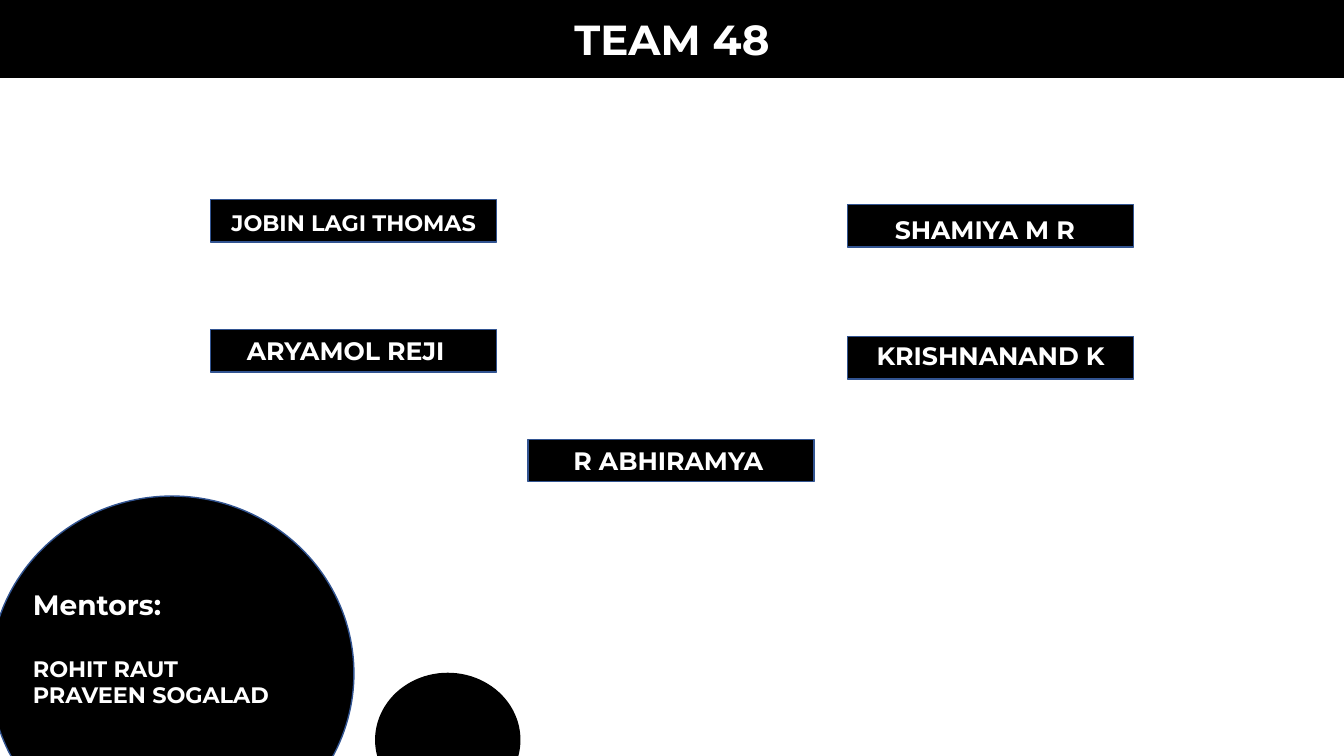
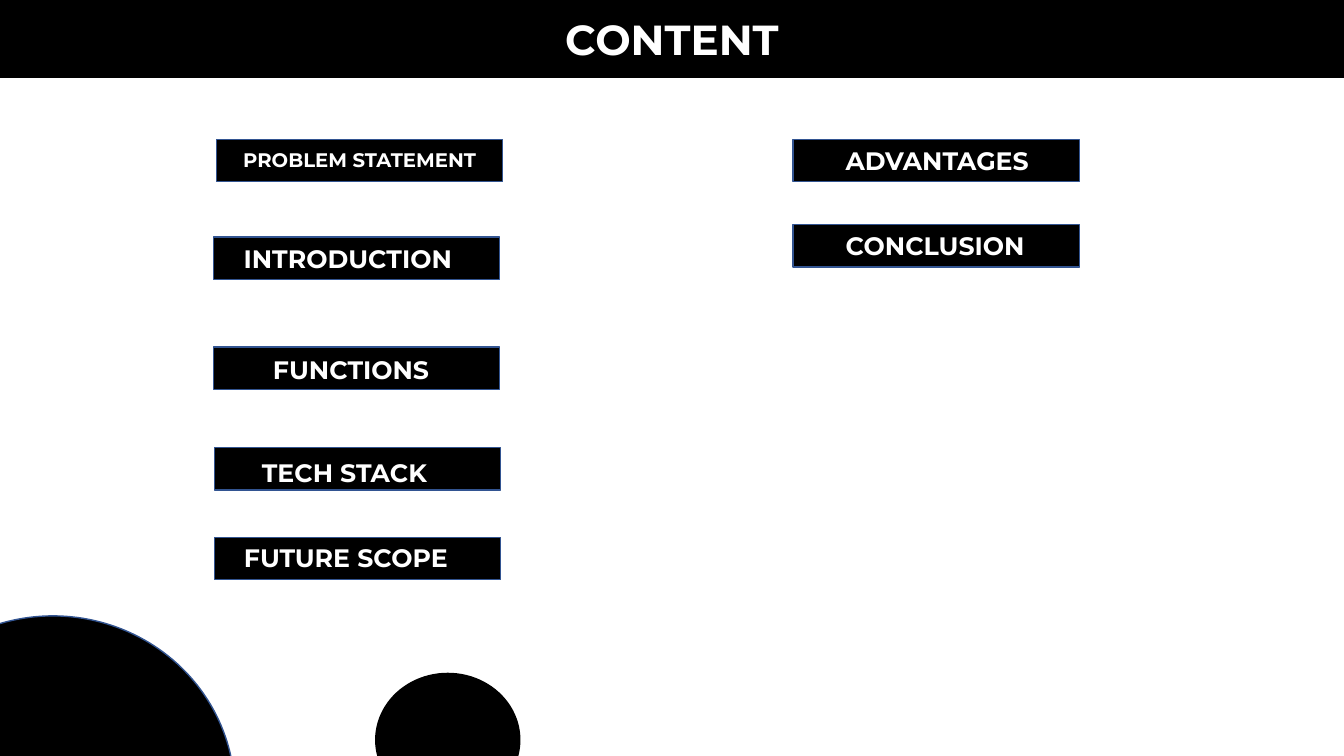
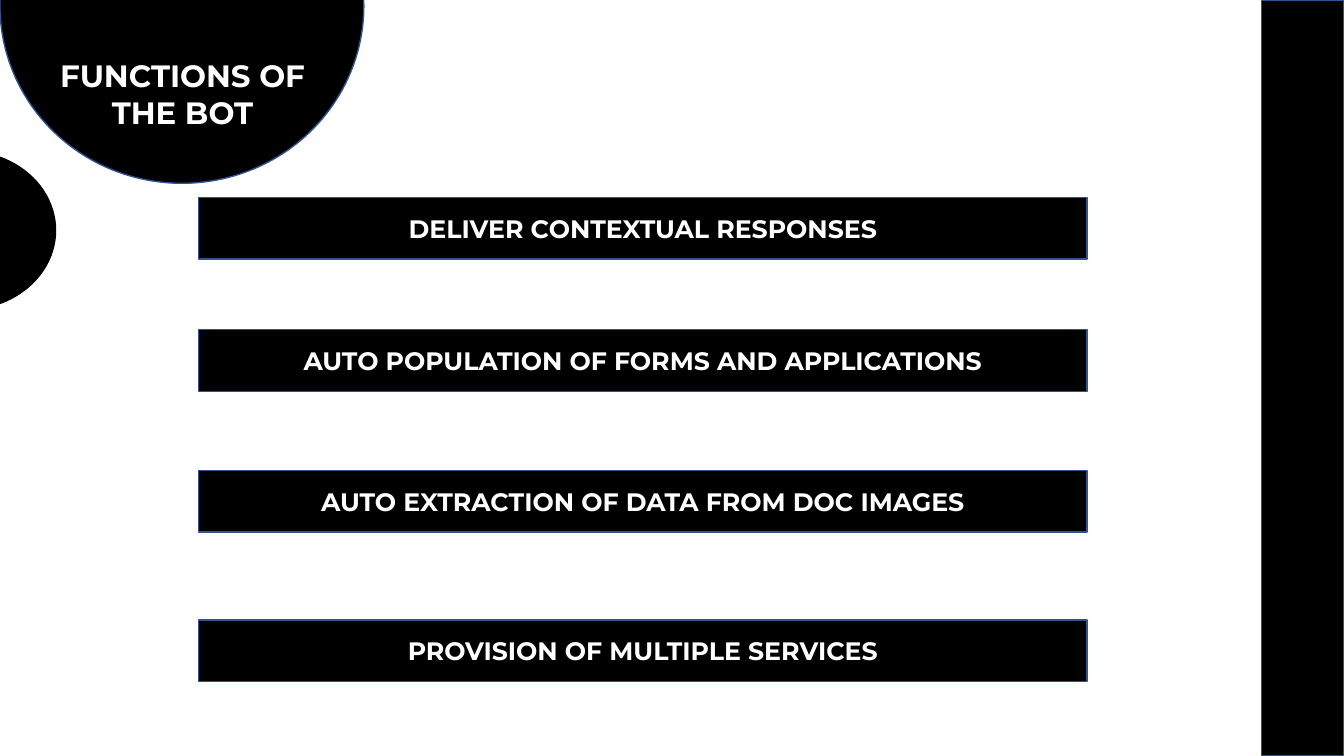
from pptx import Presentation
from pptx.dml.color import RGBColor
from pptx.enum.shapes import MSO_SHAPE
from pptx.enum.text import MSO_ANCHOR, PP_ALIGN
from pptx.util import Cm, Pt

BLACK = RGBColor(0x00, 0x00, 0x00)
WHITE = RGBColor(0xFF, 0xFF, 0xFF)
BLUE = RGBColor(0x32, 0x54, 0x91)
FONT = "Montserrat"

SLIDE_W, SLIDE_H = 33.87, 19.05
BAND_H = 1.96
SIDE_BAND_W = 2.08
LABEL_W, LABEL_H = 7.21, 1.07
BIG_CIRCLE = (9.17, 8.94)
SMALL_CIRCLE = (9.47, 16.97, 3.63, 3.35)
FUNCTION_X, FUNCTION_W, FUNCTION_H = 5, 22.4, 1.55

# label: text, left, top, size, left inset (None = centred), top inset
LABEL_SLIDES = [
    {
        "title": "TEAM 48",
        "circle": (-0.25, 12.5),
        "labels": [
            ("JOBIN LAGI THOMAS", 5.31, 5.03, 16, None, 0.23),
            ("SHAMIYA M R", 21.36, 5.16, 18, 1.19, 0.25),
            ("ARYAMOL REJI", 5.31, 8.31, 18, 0.91, 0.15),
            ("KRISHNANAND K", 21.36, 8.48, 18, None, 0.1),
            ("R ABHIRAMYA", 13.31, 11.07, 18, 1.14, 0.15),
        ],
        "mentors": ["Mentors:", "ROHIT RAUT", "PRAVEEN SOGALAD"],
    },
    {
        "title": "CONTENT",
        "circle": (-3.25, 15.52),
        "labels": [
            ("PROBLEM STATEMENT", 5.46, 3.51, 14, None, 0.23),
            ("INTRODUCTION", 5.38, 5.97, 18, 0.76, 0.15),
            ("FUNCTIONS", 5.38, 8.74, 18, 1.5, 0.18),
            ("TECH STACK", 5.41, 11.28, 18, 1.19, 0.25),
            ("FUTURE SCOPE", 5.41, 13.54, 18, 0.74, 0.13),
            ("ADVANTAGES", 19.99, 3.51, 18, 1.32, 0.15),
            ("CONCLUSION", 19.99, 5.66, 18, 1.32, 0.15),
        ],
        "mentors": [],
    },
]
FUNCTIONS_TITLE = ["FUNCTIONS OF", "THE BOT"]
FUNCTIONS = [
    ("DELIVER CONTEXTUAL RESPONSES", 4.98),
    ("AUTO POPULATION OF FORMS AND APPLICATIONS", 8.31),
    ("AUTO EXTRACTION OF DATA FROM DOC IMAGES", 11.86),
    ("PROVISION OF MULTIPLE SERVICES", 15.62),
]


def add_black(slide, kind, x, y, w, h, line=BLUE):
    sp = slide.shapes.add_shape(kind, Cm(x), Cm(y), Cm(w), Cm(h))
    sp.shadow.inherit = False
    sp.fill.solid()
    sp.fill.fore_color.rgb = BLACK
    sp.line.color.rgb = line
    sp.line.width = Pt(1)
    return sp


def add_bar(slide, *box, line=BLUE):
    return add_black(slide, MSO_SHAPE.RECTANGLE, *box, line=line)


def add_circle(slide, *box, line=BLUE):
    return add_black(slide, MSO_SHAPE.OVAL, *box, line=line)


def write(sp, lines, sizes, align=PP_ALIGN.CENTER, anchor=MSO_ANCHOR.MIDDLE):
    tf = sp.text_frame
    tf.word_wrap = True
    tf.vertical_anchor = anchor
    tf.text = "\n".join(lines)
    for p, size in zip(tf.paragraphs, sizes):
        p.alignment = align
        for r in p.runs:
            r.font.name = FONT
            r.font.size = Pt(size)
            r.font.bold = True
            r.font.color.rgb = WHITE
    return tf


def add_label(slide, label, x, y, size, inset, top):
    sp = add_bar(slide, x, y, LABEL_W, LABEL_H)
    align = PP_ALIGN.CENTER if inset is None else PP_ALIGN.LEFT
    tf = write(sp, [label], [size], align, MSO_ANCHOR.TOP)
    tf.margin_left = Cm(inset or 0)
    tf.margin_top = Cm(top)
    tf.margin_right = tf.margin_bottom = 0


def add_text(slide, box, lines, sizes, align):
    sp = slide.shapes.add_textbox(*[Cm(v) for v in box])
    return write(sp, lines, sizes, align, MSO_ANCHOR.TOP)


def add_label_slide(prs, content):
    slide = prs.slides.add_slide(prs.slide_layouts[6])
    band = add_bar(slide, 0, 0, SLIDE_W, BAND_H, line=BLACK)
    write(band, [content["title"]], [30])
    add_circle(slide, *content["circle"], *BIG_CIRCLE)
    add_circle(slide, *SMALL_CIRCLE, line=BLACK)
    for label in content["labels"]:
        add_label(slide, *label)
    if content["mentors"]:
        tf = add_text(slide, (0.58, 14.68, 7.01, 4.34), content["mentors"],
                      [20, 16, 16], PP_ALIGN.LEFT)
        tf.paragraphs[1].space_before = Pt(24)


def add_functions_slide(prs):
    slide = prs.slides.add_slide(prs.slide_layouts[6])
    add_circle(slide, 0, -4.32, *BIG_CIRCLE)
    add_text(slide, (0.79, 1.3, 7.62, 2.13), FUNCTIONS_TITLE, [22, 22], PP_ALIGN.CENTER)
    add_circle(slide, -3.15, 3.81, 4.55, 3.99, line=BLACK)
    add_bar(slide, SLIDE_W - SIDE_BAND_W, 0, SIDE_BAND_W, SLIDE_H)
    for function, y in FUNCTIONS:
        write(add_bar(slide, FUNCTION_X, y, FUNCTION_W, FUNCTION_H), [function], [18])


def main():
    prs = Presentation()
    prs.slide_width, prs.slide_height = Cm(SLIDE_W), Cm(SLIDE_H)
    for content in LABEL_SLIDES:
        add_label_slide(prs, content)
    add_functions_slide(prs)
    prs.save("out.pptx")


if __name__ == "__main__":
    main()
